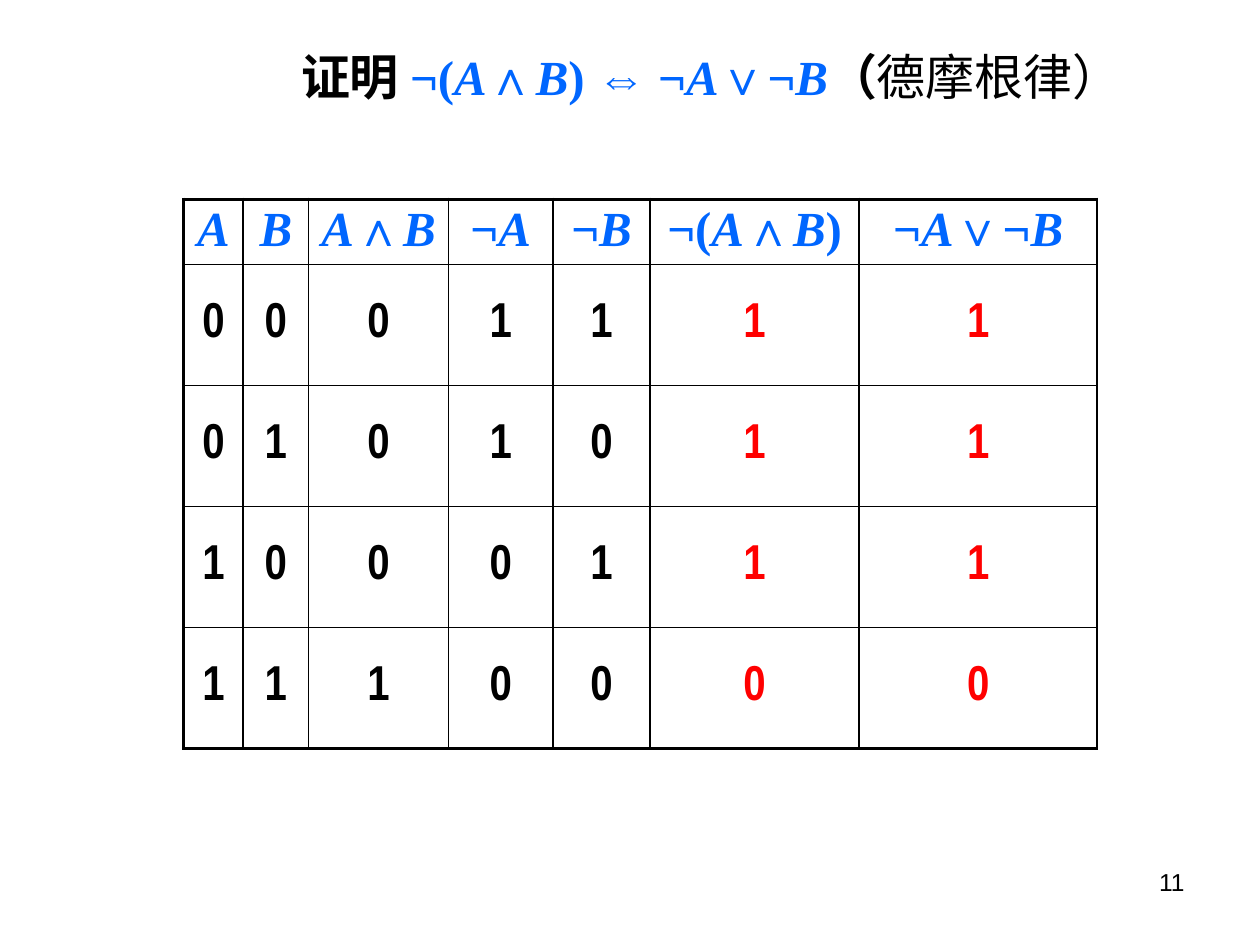
from dataclasses import dataclass
from itertools import groupby

from lxml import etree
from pptx import Presentation
from pptx.dml.color import RGBColor
from pptx.enum.text import MSO_ANCHOR, PP_ALIGN
from pptx.oxml.ns import qn
from pptx.util import Inches, Pt

CENTER, RIGHT = PP_ALIGN.CENTER, PP_ALIGN.RIGHT
TOP, MIDDLE = MSO_ANCHOR.TOP, MSO_ANCHOR.MIDDLE

BLACK = RGBColor(0x00, 0x00, 0x00)
WHITE = RGBColor(0xFF, 0xFF, 0xFF)
BLUE = RGBColor(0x00, 0x66, 0xFF)
RED = RGBColor(0xFF, 0x00, 0x00)

FORMULA_FONT = "Times New Roman"
DIGIT_FONT = "Arial Narrow"
THIN, THICK = Pt(1), Pt(2)

COLUMN_WIDTHS = [0.47, 0.52, 1.11, 0.83, 0.77, 1.66, 1.89]
ROW_HEIGHTS = [0.52] + [0.96] * 4
HEADINGS = ["A", "B", "A∧B", "¬A", "¬B", "¬(A∧B)", "¬A∨¬B"]
FIRST_RESULT_COLUMN = 5


@dataclass(frozen=True)
class Box:
    left: float
    top: float
    width: float
    height: float

    def lengths(self) -> list[int]:
        return [Inches(v) for v in (self.left, self.top, self.width, self.height)]


TITLE_BOX = Box(0.92, 0.23, 8.08, 0.75)
NUMBER_BOX = Box(7.17, 6.83, 2.33, 0.52)
TABLE_BOX = Box(1.46, 1.58, sum(COLUMN_WIDTHS), sum(ROW_HEIGHTS))


def add_text(paragraph, text: str, *, size: float = 28, font: str = "Arial",
             color: RGBColor = BLACK, bold: bool = True, italic: bool = False) -> None:
    run = paragraph.add_run()
    run.text = text
    run.font.size = Pt(size)
    run.font.name = font
    run.font.color.rgb = color
    run.font.bold = bold
    run.font.italic = italic


def add_formula(paragraph, formula: str) -> None:
    """Write a blue formula whose variables A and B are italic."""
    for is_variable, symbols in groupby(formula, key=lambda symbol: symbol in "AB"):
        add_text(paragraph, "".join(symbols), font=FORMULA_FONT, color=BLUE,
                 italic=is_variable)


def add_line_box(slide, box: Box, anchor: MSO_ANCHOR):
    """Add a right-aligned text box and return its paragraph."""
    frame = slide.shapes.add_textbox(*box.lengths()).text_frame
    frame.word_wrap = True
    frame.vertical_anchor = anchor
    paragraph = frame.paragraphs[0]
    paragraph.alignment = RIGHT
    return paragraph


def set_borders(cell, widths: dict[str, int]) -> None:
    properties = cell._tc.get_or_add_tcPr()
    for position, (side, width) in enumerate(widths.items()):
        line = etree.Element(qn(f"a:ln{side}"), w=str(width))
        fill = etree.SubElement(line, qn("a:solidFill"))
        etree.SubElement(fill, qn("a:srgbClr"), val=str(BLACK))
        properties.insert(position, line)


def truth_rows() -> list[list[int]]:
    rows = []
    for a in (0, 1):
        for b in (0, 1):
            both, not_a, not_b = a & b, 1 - a, 1 - b
            rows.append([a, b, both, not_a, not_b, 1 - both, not_a | not_b])
    return rows


def add_truth_table(slide) -> None:
    values = [HEADINGS] + truth_rows()
    table = slide.shapes.add_table(len(values), len(HEADINGS), *TABLE_BOX.lengths()).table
    table.first_row = False
    table.horz_banding = False
    for column, width in zip(table.columns, COLUMN_WIDTHS):
        column.width = Inches(width)
    for row, height in zip(table.rows, ROW_HEIGHTS):
        row.height = Inches(height)

    for r, row_values in enumerate(values):
        for c, value in enumerate(row_values):
            cell = table.cell(r, c)
            cell.vertical_anchor = MIDDLE
            cell.fill.solid()
            cell.fill.fore_color.rgb = WHITE
            set_borders(cell, {
                "L": THICK if c == 0 else THIN,
                "R": THIN,
                "T": THICK if r == 0 else THIN,
                "B": THICK if r == len(values) - 1 else THIN,
            })
            paragraph = cell.text_frame.paragraphs[0]
            paragraph.alignment = CENTER
            paragraph.line_spacing = 0.9
            if r == 0:
                add_formula(paragraph, value)
            else:
                add_text(paragraph, str(value), font=DIGIT_FONT,
                         color=RED if c >= FIRST_RESULT_COLUMN else BLACK)


def main() -> None:
    presentation = Presentation()
    presentation.slide_width = Inches(10)
    presentation.slide_height = Inches(7.5)
    slide = presentation.slides.add_slide(presentation.slide_layouts[6])

    add_text(add_line_box(slide, NUMBER_BOX, TOP), "11", size=14, bold=False)

    title = add_line_box(slide, TITLE_BOX, MIDDLE)
    add_text(title, "证明 ")
    add_formula(title, "¬(A∧B) ⇔ ¬A∨¬B")
    add_text(title, "（")
    add_text(title, "德摩根律）", bold=False)

    add_truth_table(slide)
    presentation.save("out.pptx")


if __name__ == "__main__":
    main()
